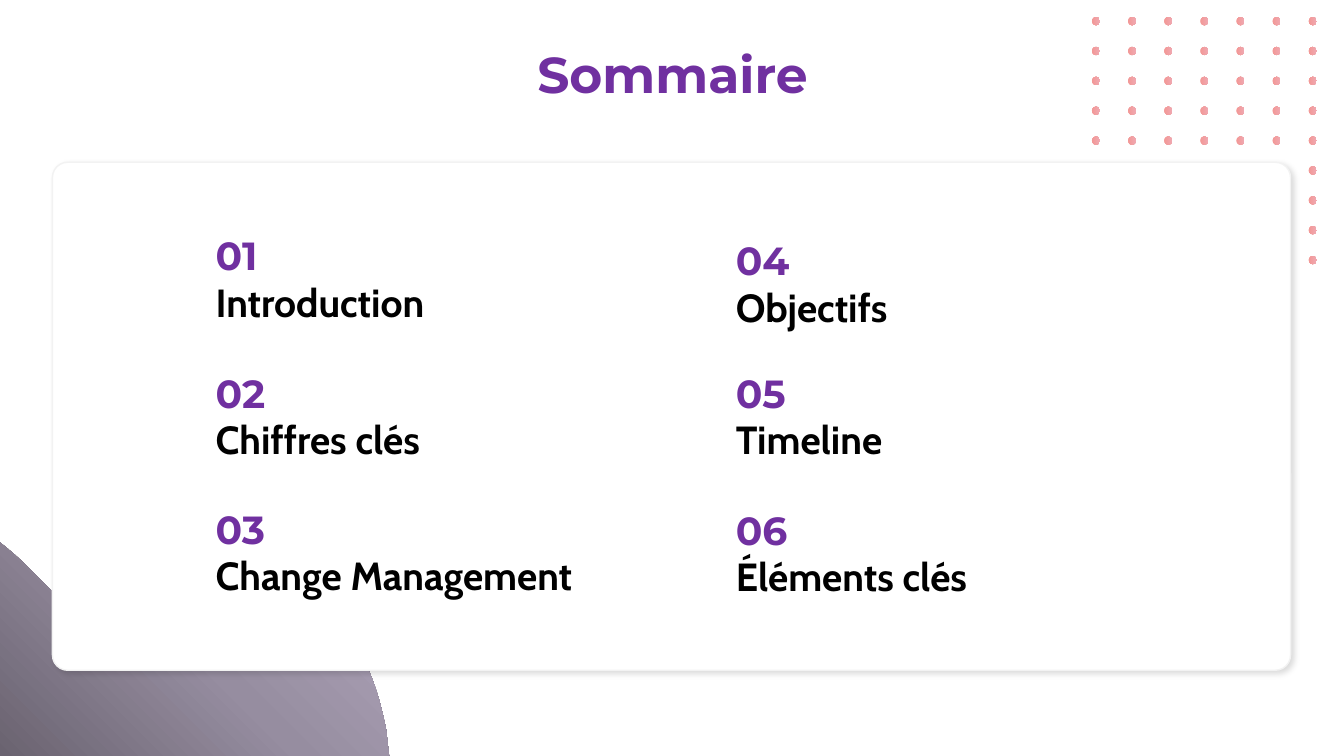
"""Build the agenda slide with its numbered topics."""
from pptx import Presentation, util as u
from pptx.dml.color import RGBColor
from pptx.enum import shapes as s, text as t
from pptx.oxml import parse_xml
from pptx.oxml.ns import qn, nsdecls

TITLE = ("Sommaire", (362, 14, 610, 125))
TOPICS = [
    ("01", "Introduction", 204, 225, 393),
    ("02", "Chiffres clés", 204, 361, 414),
    ("03", "Change Management", 204, 496, 483),
    ("04", "Objectifs", 720, 230, 471),
    ("05", "Timeline", 720, 361, 327),
    ("06", "Éléments clés", 720, 497, 327),
]
CARD = (52, 161, 1228, 504)
START = (0, 538)
CURVES = [
    ((6, 543), (26, 559), (43, 579), (62, 596)),
    ((62, 596), (88, 619), (118, 639), (150, 638)),
    ((150, 638), (196, 637), (236, 594), (282, 597)),
    ((282, 597), (318, 599), (349, 629), (366, 666)),
    ((366, 666), (374, 684), (379, 704), (383, 724)),
]
CORNER = [(386, 750), (0, 750)]
COLS, ROWS, FULL = 7, 9, 5
DOTS = (1083, 17, 1298, 254)
DOT = 8
STEPS = 16

PX = 9144
THEME = {
    "head": "Montserrat", "body": "Cabin",
    "accent": "7030A0", "ink": "000000",
    "card": "FFFFFF", "edge": "F2F2F2",
    "title": 36, "topic": 28,
    "hill": [(0, "6A6370", 100), (50, "968DA0", 100), (100, "B2A7BD", 100)],
    "dot": [(0, "E51E19", 45), (100, "DF4557", 45)],
}


def emu(*vals):
    return [round(v * PX) for v in vals]


def rgb(key):
    return RGBColor.from_string(THEME[key])


def shade(shape, key, angle):
    stops = "".join(
        f'<a:gs pos="{pos * 1000}"><a:srgbClr val="{hue}">'
        f'<a:alpha val="{alpha * 1000}"/></a:srgbClr></a:gs>'
        for pos, hue, alpha in THEME[key])
    shape.fill.gradient()
    props = shape._element.spPr
    props.replace(props.find(qn("a:gradFill")), parse_xml(
        f'<a:gradFill {nsdecls("a")} rotWithShape="1"><a:gsLst>{stops}</a:gsLst>'
        f'<a:lin ang="{angle * 60000}" scaled="0"/></a:gradFill>'))
    shape.line.fill.background()
    shape.shadow.inherit = False


def write(home, words, box, *, font, size, color, align=t.PP_ALIGN.LEFT,
          anchor=t.MSO_ANCHOR.TOP, fit=t.MSO_AUTO_SIZE.SHAPE_TO_FIT_TEXT,
          space=1.0):
    frame = home.add_textbox(*emu(*box)).text_frame
    frame.word_wrap = True
    frame.auto_size = fit
    frame.vertical_anchor = anchor
    para = frame.paragraphs[0]
    para.alignment = align
    para.line_spacing = space
    run = para.add_run()
    run.text = words
    run.font.name = THEME[font]
    run.font.size = u.Pt(THEME[size])
    run.font.bold = True
    run.font.color.rgb = rgb(color)


def bend(a, b, c, d):
    for step in range(STEPS + 1):
        k = step / STEPS
        m = 1 - k
        yield tuple(m**3 * p + 3 * m * m * k * q + 3 * m * k * k * r + k**3 * z
                    for p, q, r, z in zip(a, b, c, d))


def hill(home):
    points = [pt for curve in CURVES for pt in bend(*curve)] + CORNER
    build = home.build_freeform(*emu(*START), scale=1.0)
    build.add_line_segments([emu(*pt) for pt in points], close=True)
    shade(build.convert_to_shape(), "hill", 315)


def dots(home):
    group = home.add_group_shape().shapes
    left, top, right, low = DOTS
    for row in range(ROWS):
        for col in range(0 if row < FULL else COLS - 1, COLS):
            x = left + col * (right - left) / (COLS - 1)
            y = top + row * (low - top) / (ROWS - 1)
            dot = group.add_shape(s.MSO_SHAPE.OVAL, *emu(x, y, DOT, DOT))
            shade(dot, "dot", 0)


def card(home):
    panel = home.add_shape(s.MSO_SHAPE.ROUNDED_RECTANGLE, *emu(*CARD))
    panel.adjustments[0] = 0.03
    panel.fill.solid()
    panel.fill.fore_color.rgb = rgb("card")
    panel.line.color.rgb = rgb("edge")
    panel.line.width = u.Pt(1)
    panel.shadow.inherit = False
    panel._element.spPr.find(qn("a:effectLst")).append(parse_xml(
        f'<a:outerShdw {nsdecls("a")} blurRad="{u.Pt(4)}" dist="{u.Pt(3)}" '
        'dir="2700000" algn="tl" rotWithShape="0"><a:srgbClr val="000000">'
        '<a:alpha val="15000"/></a:srgbClr></a:outerShdw>'))


def main():
    deck = Presentation()
    deck.slide_width, deck.slide_height = u.Inches(13.33), u.Inches(7.5)
    home = deck.slides.add_slide(deck.slide_layouts[6]).shapes
    hill(home)
    dots(home)
    card(home)
    words, box = TITLE
    write(home, words, box, font="head", size="title", color="accent",
          align=t.PP_ALIGN.CENTER, anchor=t.MSO_ANCHOR.MIDDLE,
          fit=t.MSO_AUTO_SIZE.NONE, space=0.9)
    for num, name, x, y, wide in TOPICS:
        group = home.add_group_shape().shapes
        write(group, num, (x, y, 159, 57),
              font="head", size="topic", color="accent")
        write(group, name, (x, y + 46, wide, 57),
              font="body", size="topic", color="ink")
    deck.save("out.pptx")


if __name__ == "__main__":
    main()
